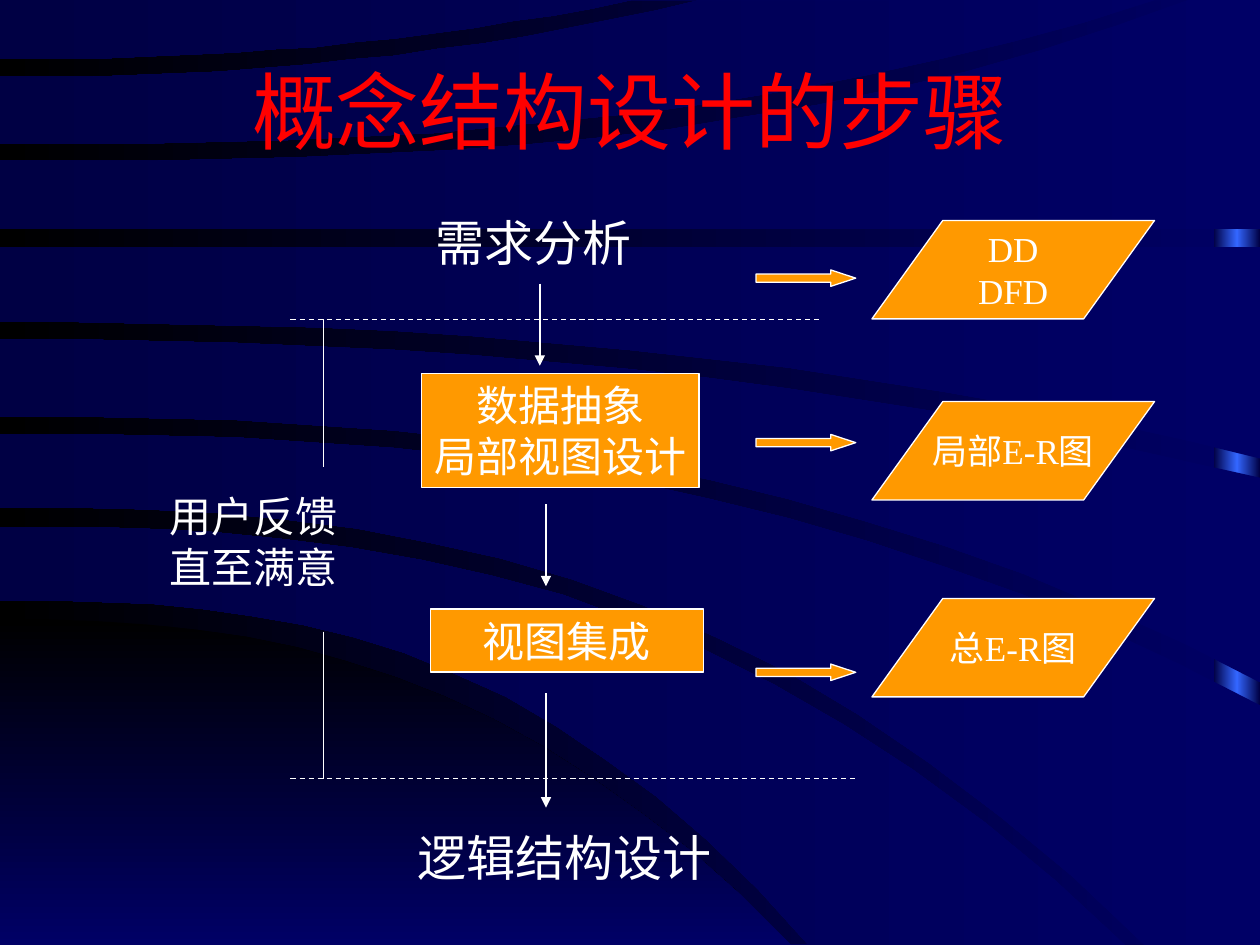
from copy import deepcopy

from lxml import etree
from pptx import Presentation
from pptx.dml.color import RGBColor
from pptx.enum import dml, shapes, text
from pptx.oxml.ns import qn
from pptx.util import Pt

COLORS = {"navy": "000066", "black": "000000", "dusk": "000044", "glow": "3366FF",
          "orange": "FF9900", "white": "FFFFFF", "red": "FF0000"}
FONT = "Times New Roman"
WIDTH, HEIGHT = 720, 540
CURVE_STEPS = 16

# Each band has an upper and a lower edge: start y, end x, end y, power of the curve.
TOP_EDGE = (0, WIDTH, 0, 1)
BOTTOM_EDGE = (HEIGHT, WIDTH, HEIGHT, 1)
DARK_CORNER = ((354, 452, HEIGHT, 2.5), BOTTOM_EDGE)
BANDS = [
    ((301, 643, HEIGHT, 2.6), (343, 462, HEIGHT, 2.7)),
    ((248, WIDTH, 403, 2.5), (290, 654, HEIGHT, 2.6)),
    ((194, WIDTH, 273, 2.2), (238, WIDTH, 390, 2.5)),
    ((141, WIDTH, 141, 1), (184, WIDTH, 262, 2.3)),
    ((92, 679, 0, 2.8), (131, WIDTH, 131, 1)),
    ((44, 400, 0, 2.2), (82, 660, 0, 2.6)),
    (TOP_EDGE, (34, 361, 0, 2.2)),
]


def rgb(name):
    return RGBColor.from_string(COLORS[name])


def set_gradient(fill, first, last, angle):
    """Two-colour linear gradient; the angle runs counter-clockwise."""
    fill.gradient()
    fill.gradient_angle = angle
    for stop, name in zip(fill.gradient_stops, (first, last)):
        stop.color.rgb = rgb(name)


def edge_points(start_y, end_x, end_y, power):
    """Points of a power curve, carried on level to the right side of the slide."""
    shares = [step / CURVE_STEPS for step in range(CURVE_STEPS + 1)]
    curve = [(end_x * share, start_y + (end_y - start_y) * share ** power)
             for share in shares]
    return curve + [(WIDTH, end_y)]


def add_band(group, edges, first, last, angle):
    upper, lower = (edge_points(*edge) for edge in edges)
    outline = upper + lower[::-1]
    builder = group.shapes.build_freeform(*outline[0], scale=Pt(1))
    builder.add_line_segments(outline[1:], close=True)
    band = builder.convert_to_shape()
    band.shadow.inherit = False
    band.line.fill.background()
    set_gradient(band.fill, first, last, angle)


def add_glow_strip(group):
    strip = group.shapes.add_shape(shapes.MSO_SHAPE.RECTANGLE,
                                   Pt(693.5), Pt(0), Pt(26.5), Pt(HEIGHT))
    strip.shadow.inherit = False
    strip.line.fill.background()
    set_gradient(strip.fill, "dusk", "glow", 180)
    stops = strip._element.spPr.find(".//" + qn("a:gsLst"))
    stops[1].set("pos", "50000")
    end = deepcopy(stops[0])
    end.set("pos", "100000")
    stops.append(end)


def add_backdrop(slide):
    set_gradient(slide.background.fill, "navy", "black", 180)
    group = slide.shapes.add_group_shape()
    add_glow_strip(group)
    add_band(group, DARK_CORNER, "black", "navy", 270)
    for edges in BANDS:
        add_band(group, edges, "navy", "dusk", 180)
    slide.shapes._spTree.insert(2, group._element)  # behind the title


def write(frame, words, size, color="white", centred=True, wrap=False,
          anchor=text.MSO_ANCHOR.TOP):
    frame.text = words
    frame.word_wrap = wrap
    frame.auto_size = text.MSO_AUTO_SIZE.NONE
    frame.vertical_anchor = anchor
    for paragraph in frame.paragraphs:
        paragraph.alignment = text.PP_ALIGN.CENTER if centred else text.PP_ALIGN.LEFT
        for run in paragraph.runs:
            run.font.size = Pt(size)
            run.font.name = FONT
            run.font.color.rgb = rgb(color)


def add_title(slide, words):
    title = slide.shapes.title
    title.left, title.top, title.width, title.height = Pt(54), Pt(18), Pt(612), Pt(90)
    write(title.text_frame, words, 48, "red", wrap=True, anchor=text.MSO_ANCHOR.MIDDLE)


def add_label(slide, words, size, *box):
    label = slide.shapes.add_textbox(*map(Pt, box))
    write(label.text_frame, words, size, centred=False)


def add_orange(slide, kind, *box):
    shape = slide.shapes.add_shape(kind, *map(Pt, box))
    shape.shadow.inherit = False
    shape.fill.solid()
    shape.fill.fore_color.rgb = rgb("orange")
    shape.line.color.rgb = rgb("white")
    shape.line.width = Pt(0.75)
    return shape


def add_step(slide, words, *box):
    step = add_orange(slide, shapes.MSO_SHAPE.RECTANGLE, *box)
    write(step.text_frame, words, 24)


def add_product(slide, words, top, arrow_top):
    """Parallelogram for a step's result, with the block arrow leading to it."""
    product = add_orange(slide, shapes.MSO_SHAPE.PARALLELOGRAM, 498.25, top, 161.5, 56.25)
    product.adjustments[0] = 0.72
    write(product.text_frame, words, 20, anchor=text.MSO_ANCHOR.MIDDLE)
    arrow = add_orange(slide, shapes.MSO_SHAPE.RIGHT_ARROW, 432, arrow_top, 57, 9.4)
    arrow.adjustments[1] = 1.52


def add_line(slide, x1, y1, x2, y2, dashed=False, arrow=False):
    line = slide.shapes.add_connector(shapes.MSO_CONNECTOR.STRAIGHT,
                                      *map(Pt, (x1, y1, x2, y2)))
    line.line.color.rgb = rgb("white")
    line.line.width = Pt(0.75)
    if dashed:
        line.line.dash_style = dml.MSO_LINE.DASH
    if arrow:
        etree.SubElement(line.line._get_or_add_ln(), qn("a:tailEnd"), type="triangle")
    etree.SubElement(line._element.spPr, qn("a:effectLst"))


def main():
    prs = Presentation()
    prs.slide_width, prs.slide_height = Pt(WIDTH), Pt(HEIGHT)
    slide = prs.slides.add_slide(prs.slide_layouts[5])
    add_backdrop(slide)
    add_title(slide, "概念结构设计的步骤")

    add_label(slide, "需求分析", 28, 242, 118, 126, 41)
    add_label(slide, "逻辑结构设计", 28, 231.5, 469.5, 182, 41)
    add_step(slide, "数据抽象\n局部视图设计", 241, 213.5, 158.5, 65)
    add_step(slide, "视图集成", 246, 348, 156, 36)
    for x, start, end in [(308.5, 162, 209), (312, 288, 335), (312, 396, 461.5)]:
        add_line(slide, x, start, x, end, arrow=True)

    loop_x, loop_top, loop_bottom = 185, 182.5, 445
    for y, right in [(loop_top, 470), (loop_bottom, 489)]:
        add_line(slide, 166, y, right, y, dashed=True)
    add_label(slide, "用户反馈\n直至满意", 24, 90, 277, 110, 65)
    for start, end in [(loop_top, 267), (361, loop_bottom)]:
        add_line(slide, loop_x, start, loop_x, end)

    for words, top, arrow_top in [("DD\nDFD", 126, 154.25), ("局部E-R图", 229.5, 248.25),
                                  ("总E-R图", 342, 379.5)]:
        add_product(slide, words, top, arrow_top)
    prs.save("out.pptx")


if __name__ == "__main__":
    main()
